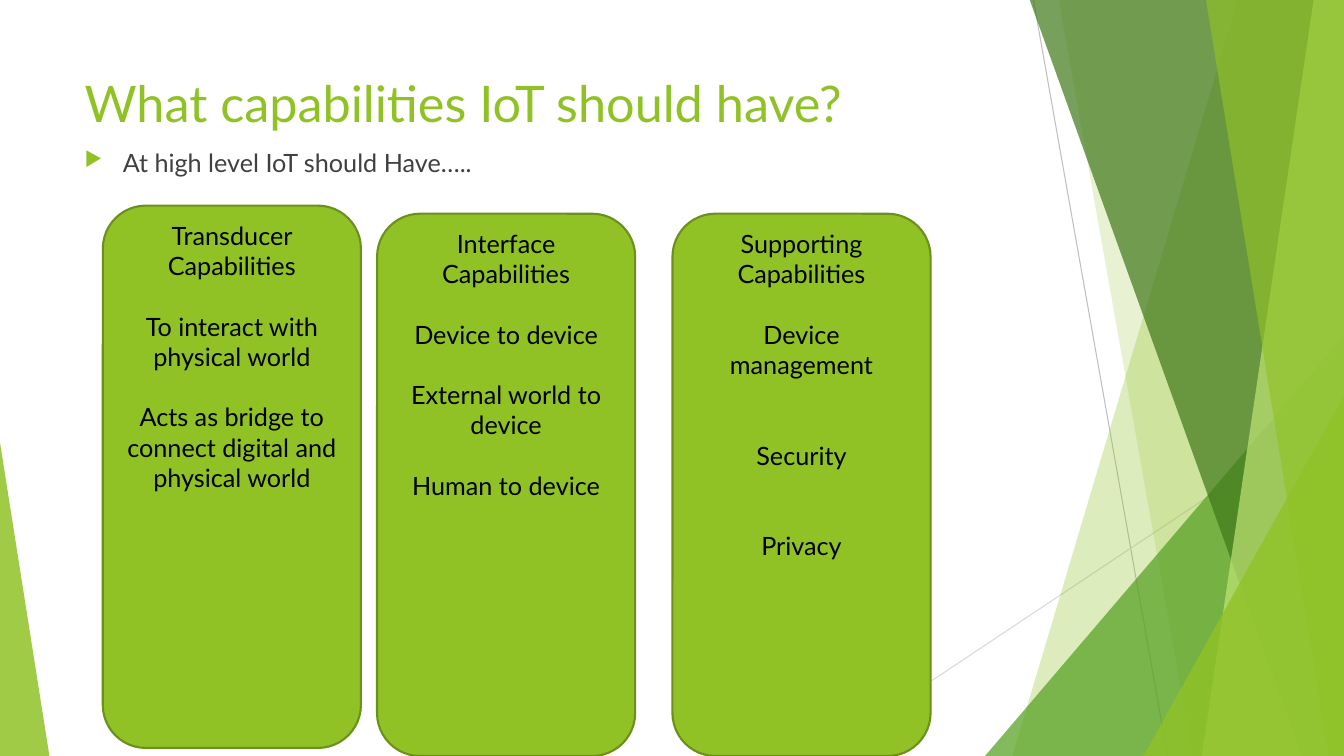
from lxml import etree
from pptx import Presentation
from pptx.dml.color import RGBColor
from pptx.enum.shapes import MSO_CONNECTOR, MSO_SHAPE
from pptx.enum.text import MSO_ANCHOR, PP_ALIGN
from pptx.oxml.ns import qn
from pptx.util import Inches, Pt

STRAIGHT = MSO_CONNECTOR.STRAIGHT
TRIANGLE = MSO_SHAPE.ISOSCELES_TRIANGLE
ROUNDED = MSO_SHAPE.ROUNDED_RECTANGLE
TOP = MSO_ANCHOR.TOP
LEFT, CENTER = PP_ALIGN.LEFT, PP_ALIGN.CENTER

WIDTH, HEIGHT = 13.33, 7.5
FONT = "Lato"
LINE_PITCH = 21.6
COLORS = {
    "green": "90C226", "leaf": "54A021", "forest": "3F7819", "lime": "C0E474",
    "border": "6B901C", "gray": "BFBFBF", "silver": "D9D9D9",
    "body": "404040", "black": "000000",
}

TITLE = "What capabilities IoT should have?"
SUBTITLE = "At high level IoT should Have….."
CARD_SIZE = (2.56, 5.38)
CARDS = [
    (1.02, 2.04, [("Transducer Capabilities", 0),
                  ("To interact with physical world", 1),
                  ("Acts as bridge to connect digital and physical world", 1)]),
    (3.74, 2.12, [("Interface Capabilities", 0),
                  ("Device to device", 1),
                  ("External world to device", 1),
                  ("Human to device", 1)]),
    (6.67, 2.12, [("Supporting Capabilities", 0),
                  ("Device management", 1),
                  ("Security", 2),
                  ("Privacy", 2)]),
]

RAYS = [
    ((10.25, 0), (11.58, HEIGHT), "gray"),
    ((WIDTH, 4.03), (8.12, HEIGHT), "silver"),
]
FACETS = [
    ("band", (12.28, 10.04), "green", 30),
    ("band", (10.5, 11.83), "green", 20),
    ("triangle", (9.77, 3.33, 3.56, 1), "leaf", 72),
    ("band", (10.21, 12.91), "forest", 70),
    ("band", (13.03, 11.92), "lime", 70),
    ("band", (11.96, 13.18), "green", 65),
    ("triangle", (11.34, 3.93, 1.99, 1), "green", 80),
    ("triangle", (0, 4.39, 0.49, 0), "green", 85),
]


def color(name):
    return RGBColor.from_string(COLORS[name])


def fill_shape(shape, name, opacity=100):
    shape.shadow.inherit = False
    shape.fill.solid()
    shape.fill.fore_color.rgb = color(name)
    if opacity < 100:
        tone = shape.fill._xPr.find(qn("a:solidFill"))[0]
        etree.SubElement(tone, qn("a:alpha"), val=str(opacity * 1000))


def add_ray(slide, start, end, name):
    ray = slide.shapes.add_connector(STRAIGHT, *map(Inches, start + end))
    ray.line.color.rgb = color(name)
    ray.line.width = Pt(0.75)
    etree.SubElement(ray._element.spPr, qn("a:effectLst"))


def add_band(slide, top_x, bottom_x):
    corners = [(top_x, -0.01), (WIDTH, -0.01), (WIDTH, HEIGHT), (bottom_x, HEIGHT)]
    points = [(Inches(x), Inches(y)) for x, y in corners]
    builder = slide.shapes.build_freeform(*points[0], scale=1.0)
    builder.add_line_segments(points[1:], close=True)
    return builder.convert_to_shape()


def add_triangle(slide, left, top, width, apex):
    bounds = (left, top, width, HEIGHT - top)
    triangle = slide.shapes.add_shape(TRIANGLE, *map(Inches, bounds))
    triangle.adjustments[0] = apex
    return triangle


def write(shape, lines, size, name, align, top_inset=0.05):
    frame = shape.text_frame
    settings = {"word_wrap": True, "vertical_anchor": TOP, "margin_top": Inches(top_inset)}
    for key, value in settings.items():
        setattr(frame, key, value)
    for index, (text, gap) in enumerate(lines):
        para = frame.add_paragraph() if index else frame.paragraphs[0]
        para.alignment = align
        para.space_before = Pt(gap * LINE_PITCH)
        span = para.add_run()
        span.text = text
        for key, value in {"name": FONT, "size": Pt(size)}.items():
            setattr(span.font, key, value)
        span.font.color.rgb = color(name)


def add_text(slide, bounds, text, size, name):
    box = slide.shapes.add_textbox(*map(Inches, bounds))
    write(box, [(text, 0)], size, name, LEFT)
    return box


def add_bullet(para):
    props = para._p.get_or_add_pPr()
    indent = Inches(0.38)
    props.set("marL", str(indent))
    props.set("indent", str(-indent))
    bullet_color = etree.SubElement(props, qn("a:buClr"))
    etree.SubElement(bullet_color, qn("a:srgbClr"), val=COLORS["green"])
    etree.SubElement(props, qn("a:buSzPct"), val="80000")
    etree.SubElement(props, qn("a:buChar"), char="▶")


def add_card(slide, left, top, lines):
    card = slide.shapes.add_shape(ROUNDED, *map(Inches, (left, top) + CARD_SIZE))
    fill_shape(card, "green")
    card.line.color.rgb = color("border")
    card.line.width = Pt(1.5)
    write(card, lines, 18, "black", CENTER, 0.02)


def main():
    deck = Presentation()
    deck.slide_width, deck.slide_height = Inches(WIDTH), Inches(HEIGHT)
    slide = deck.slides.add_slide(deck.slide_layouts[6])
    for ray in RAYS:
        add_ray(slide, *ray)
    makers = {"band": add_band, "triangle": add_triangle}
    for kind, geometry, name, opacity in FACETS:
        facet = makers[kind](slide, *geometry)
        fill_shape(facet, name, opacity)
        facet.line.fill.background()
    add_text(slide, (0.74, 0.67, 9.4, 0.74), TITLE, 36, "green")
    subtitle = add_text(slide, (0.74, 1.41, 9.4, 0.5), SUBTITLE, 18, "body")
    add_bullet(subtitle.text_frame.paragraphs[0])
    for card in CARDS:
        add_card(slide, *card)
    deck.save("out.pptx")


if __name__ == "__main__":
    main()
